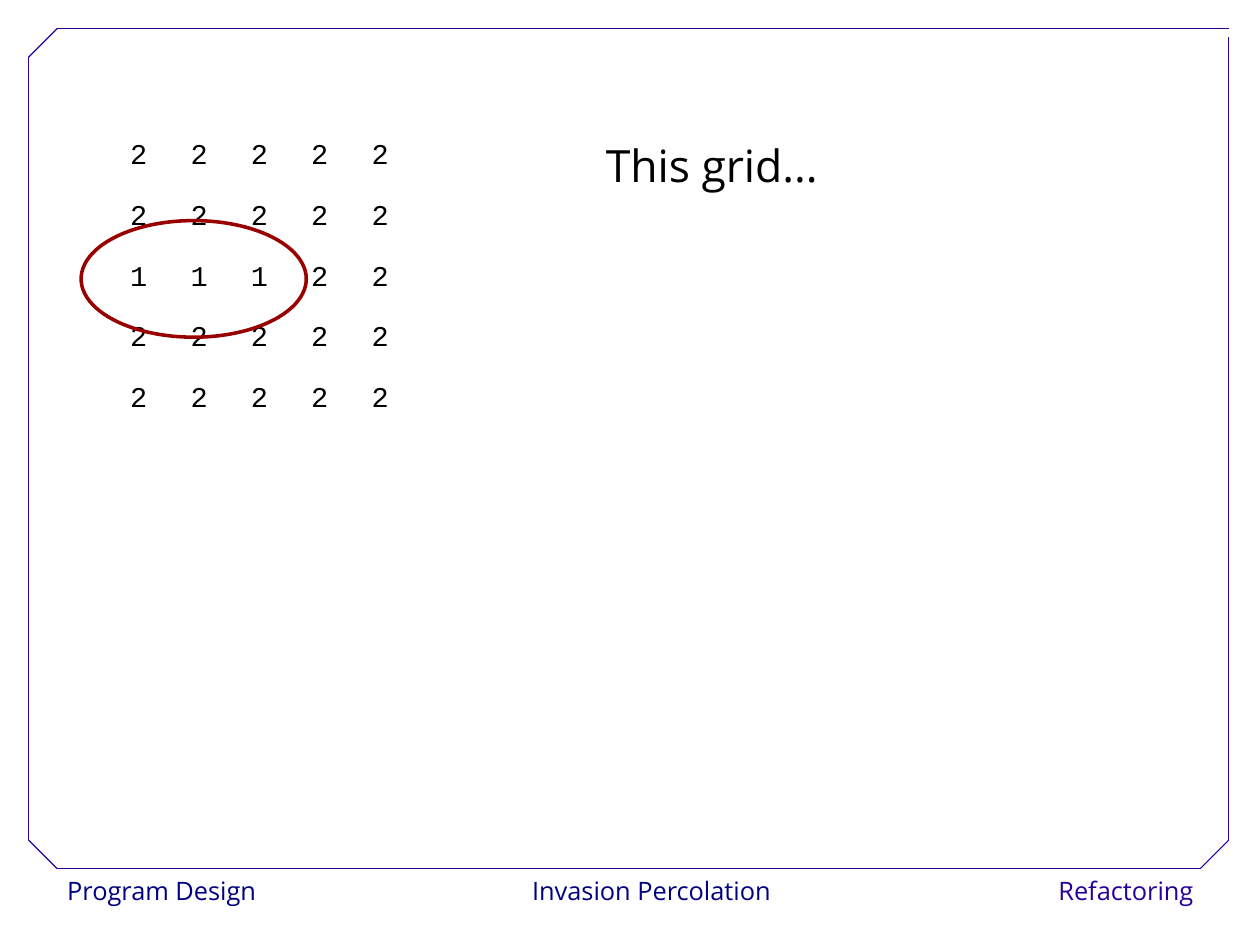
"""Build the slide that shows a percolation grid with its filled cells circled."""
from pptx import Presentation, util as u
from pptx.dml.color import RGBColor
from pptx.enum import shapes, text
from pptx.oxml import parse_xml
from pptx.oxml.ns import nsdecls

COLORS = {"ink": "000000", "navy": "000080", "violet": "280099",
          "ring": "990000", "paper": "FFFFFF"}


def color(name):
    return RGBColor.from_string(COLORS[name])


def style(paragraph, font, size, ink, align, spacing=1.02):
    paragraph.alignment = align
    paragraph.line_spacing = spacing
    paragraph.font.name = font
    paragraph.font.size = u.Pt(size)
    paragraph.font.color.rgb = color(ink)


deck = Presentation()
deck.slide_width, deck.slide_height = u.Cm(28), u.Cm(21)
slide = deck.slides.add_slide(deck.slide_layouts[5])
LEFT, CENTER, RIGHT = text.PP_ALIGN.LEFT, text.PP_ALIGN.CENTER, text.PP_ALIGN.RIGHT

title = slide.shapes.title
title.left, title.top, title.width, title.height = map(u.Inches, (5.2, 0.92, 4.86, 0.8))
title.text_frame.text = "This grid..."
title.text_frame.vertical_anchor = text.MSO_ANCHOR.TOP
title.text_frame.auto_size = text.MSO_AUTO_SIZE.NONE
style(title.text_frame.paragraphs[0], "Open Sans", 28, "ink", LEFT, 1.5)

for label, left, width, align, ink in (
        ("Program Design", 0.49, 1.8, LEFT, "navy"),
        ("Invasion Percolation", 4.58, 2.24, CENTER, "navy"),
        ("Refactoring", 9.14, 1.4, RIGHT, "violet")):
    footer = slide.shapes.add_shape(shapes.MSO_SHAPE.RECTANGLE,
                                    *map(u.Inches, (left, 7.6, width, 0.4)))
    footer.shadow.inherit = False
    footer.fill.solid()
    footer.fill.fore_color.rgb = color("paper")
    footer.line.fill.background()
    footer.text_frame.word_wrap = False
    footer.text_frame.vertical_anchor = text.MSO_ANCHOR.TOP
    footer.text_frame.text = label
    style(footer.text_frame.paragraphs[0], "Open Sans", 16, ink, align)

west, east, north, south, corner = 0.25, 10.75, 0.25, 7.6, 0.25
frame_edges = (
    (west + corner, south, east - corner, south),
    (west, south - corner, west, north + corner),
    (west + corner, north, east, north),
    (east, south - corner, east, 0.32),
    (west, north + corner, west + corner, north),
    (east - corner, south, east, south - corner),
    (west, south - corner, west + corner, south))
for ends in frame_edges:
    edge = slide.shapes.add_connector(shapes.MSO_CONNECTOR.STRAIGHT, *map(u.Inches, ends))
    edge.line.color.rgb = color("violet")
    edge.line.width = u.Pt(0.75)
    edge._element.spPr.append(parse_xml(f"<a:effectLst {nsdecls('a')}/>"))

grid_rows = ("22222", "22222", "11122", "22222", "22222")
row_heights = (0.52, 0.54, 0.53, 0.53, 0.53)
side = u.Inches(2.64)
grid = slide.shapes.add_table(5, 5, u.Inches(0.95), u.Inches(1.11), side, side).table
grid.first_row = grid.horz_banding = False
for row, values in enumerate(grid_rows):
    grid.rows[row].height = u.Inches(row_heights[row])
    for column, value in enumerate(values):
        cell = grid.cell(row, column)
        cell.fill.background()
        cell.vertical_anchor = text.MSO_ANCHOR.MIDDLE
        cell.text = value
        style(cell.text_frame.paragraphs[0], "Courier New", 18, "ink", CENTER)

ring = slide.shapes.add_shape(shapes.MSO_SHAPE.OVAL,
                              *map(u.Inches, (0.71, 1.93, 1.97, 1.02)))
ring.shadow.inherit = False
ring.fill.background()
ring.line.color.rgb = color("ring")
ring.line.width = u.Pt(2.25)

deck.save("out.pptx")
